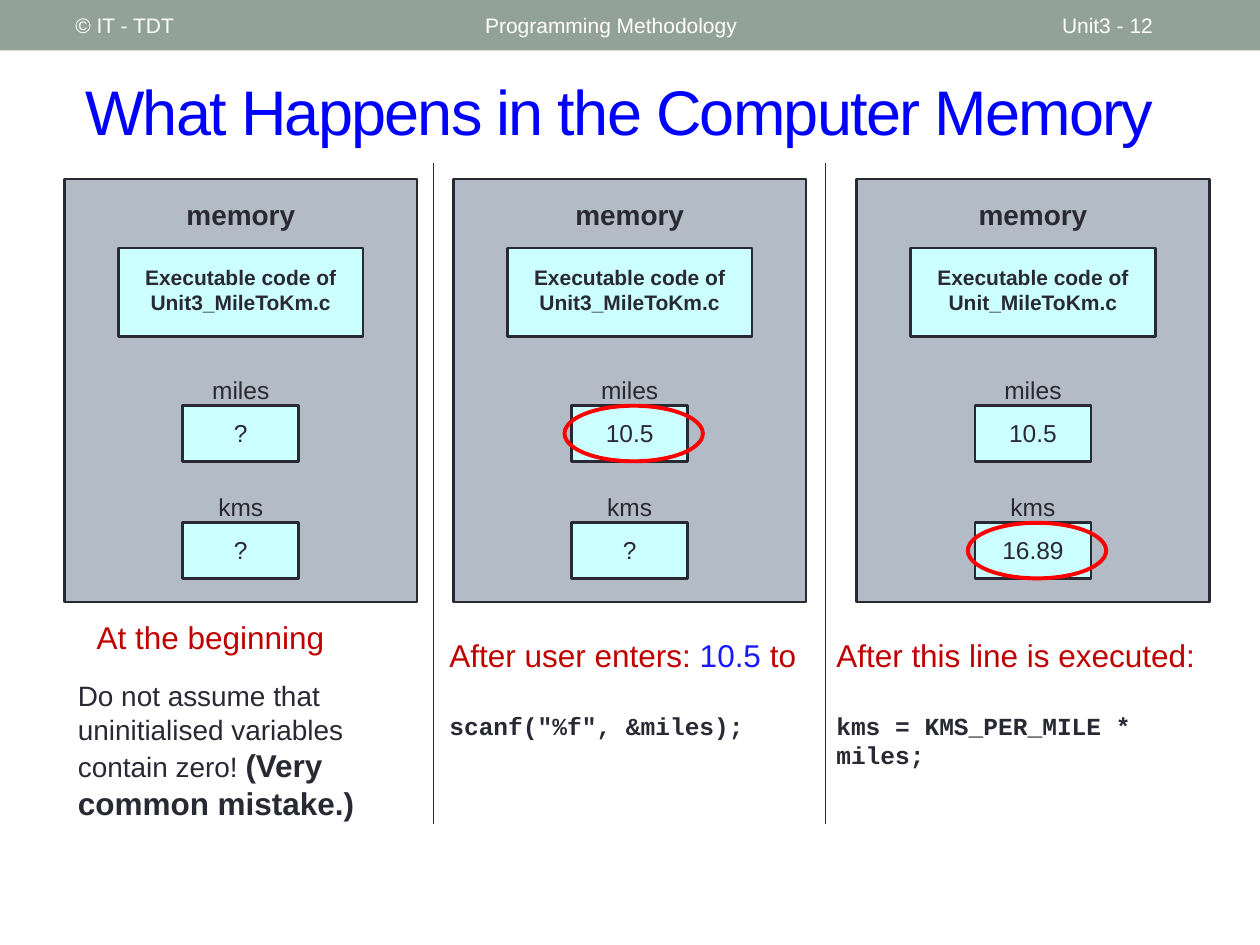
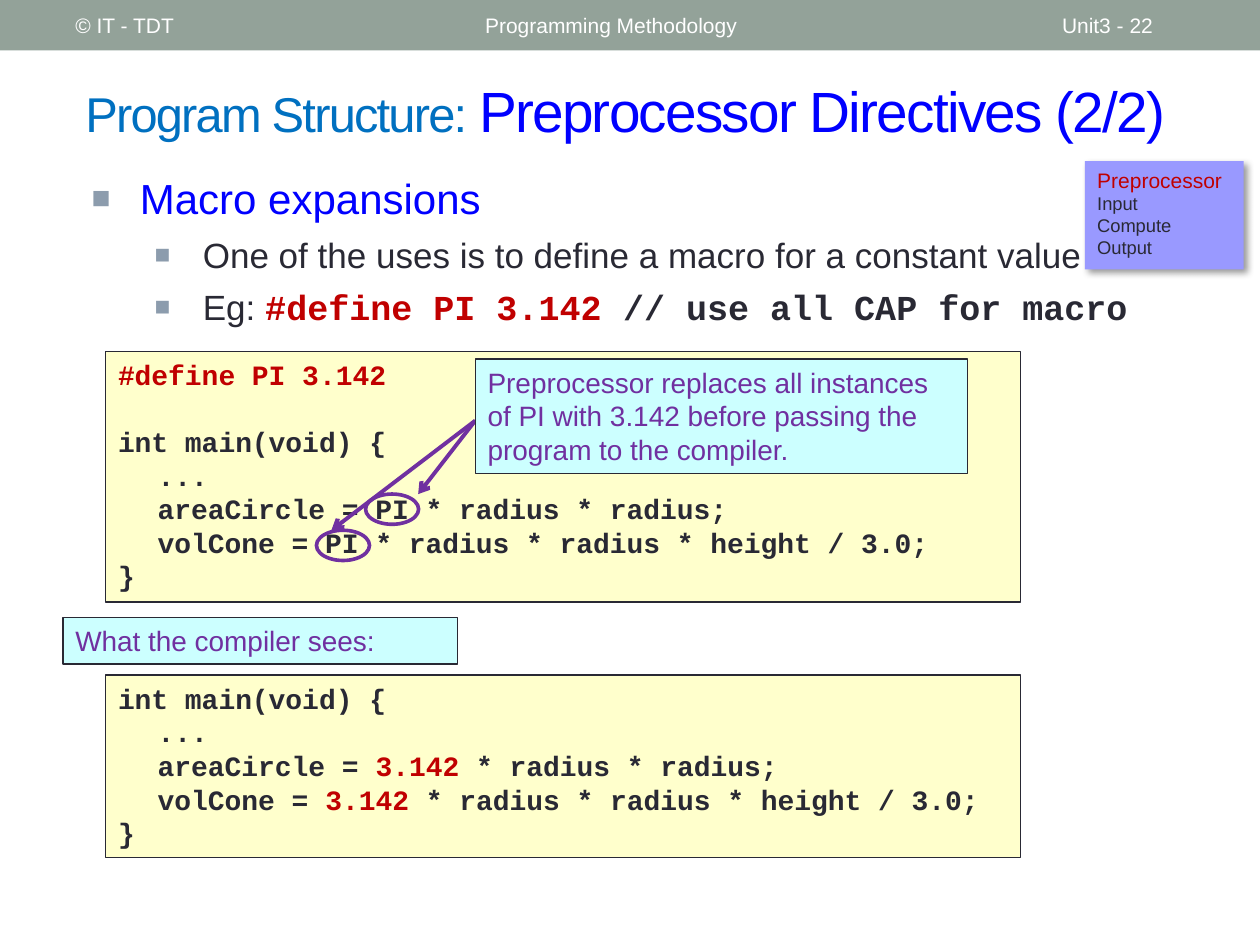
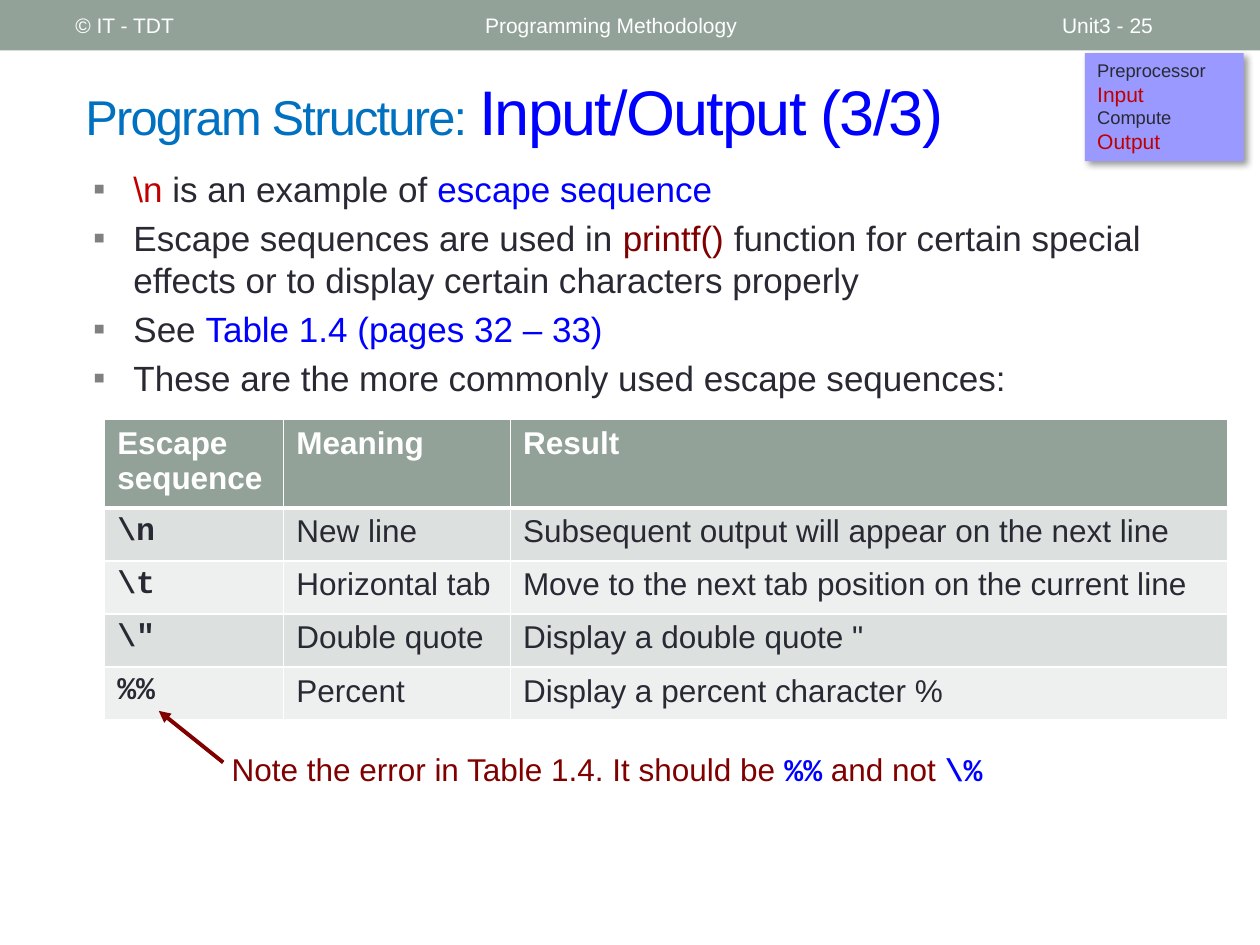
from lxml.etree import SubElement
from pptx import Presentation
from pptx.dml.color import RGBColor
from pptx.enum.shapes import MSO_CONNECTOR as Connector, MSO_SHAPE as Shape
from pptx.enum.text import MSO_ANCHOR as Anchor, PP_ALIGN as Align
from pptx.oxml.ns import qn
from pptx.util import Cm, Pt

INK, WHITE, SAGE = "292934", "FFFFFF", "93A299"
BLUE, SKY, RED, MAROON, PURPLE = "0000FF", "0070C0", "C00000", "800000", "7030A0"
SLATE, CYAN, CREAM, LILAC = "B3BBC6", "CCFFFF", "FFFFCC", "9999FF"
SANS, MONO = "Arial", "Courier New"
CODE = {"name": MONO, "bold": True}
RED_INK, BLUE_INK, MAROON_INK = ({"color": name} for name in (RED, BLUE, MAROON))


def para(*runs, **layout):
    """A paragraph: runs are strings or (string, format) pairs."""
    return runs, layout


# ---- content ----
COURSE, COPYRIGHT = "Programming Methodology", "© IT - TDT"
TOPIC = ("Program Structure: ", {"size": 27.9, "color": SKY})
STAGES = ["Preprocessor", "Input", "Compute", "Output"]

# panel left, program file, miles, kms, top of the circled value
MEMORY_STATES = [
    (1.3, "Unit3_MileToKm.c", "?", "?", None),
    (9.14, "Unit3_MileToKm.c", "10.5", "?", 8.18),
    (17.27, "Unit_MileToKm.c", "10.5", "16.89", 10.54),
]
CAPTIONS = [
    ((1.7, 12.34, 5.4, 1.02), [para(("At the beginning", RED_INK))]),
    ((1.32, 13.56, 6.5, 3.18), [para(
        ("Do not assume that uninitialised variables contain zero! ", {"size": 16}),
        ("(Very common mistake.)", {"bold": True}))]),
    ((8.81, 12.7, 7.98, 2.49), [
        para(("After user enters: ", RED_INK), ("10.5 ", {"color": "1818FF"}), ("to", RED_INK)),
        para(('scanf("%f", &miles);', {**CODE, "size": 14}), space_before=21)]),
    ((16.61, 12.7, 8.51, 2.39), [
        para(("After this line is executed:", RED_INK)),
        para(("kms = KMS_PER_MILE * miles;", {**CODE, "size": 14}), space_before=21)]),
]
DIVIDERS = [8.74, 16.64]

SQUARE = {"bullet": "■", "bullet_color": "8C9CAD", "bullet_size": 75, "hanging": 0.97}
SUB_ITEM = {**SQUARE, "indent": 2.24, "space_before": 6}
MACRO_POINTS = [
    para(("Macro expansions", {"size": 24, "color": BLUE}), indent=0.97, **SQUARE),
    para("One of the uses is to define a macro for a constant value", **SUB_ITEM),
    para("Eg: ", ("#define PI 3.142 ", {**CODE, **RED_INK}),
         ("// use all CAP for macro", CODE), **SUB_ITEM),
]


def main_function(constant, **first_line):
    return [
        para("int main(void) {", **first_line),
        para("...", indent=0.8),
        para("areaCircle = ", constant, " * radius * radius;", indent=0.8),
        para("volCone = ", constant, " * radius * radius * height / 3.0;", indent=0.8),
        para("}"),
    ]


SOURCE_CODE = [para(("#define PI 3.142", RED_INK)), *main_function("PI", space_before=19)]
EXPANDED_CODE = main_function(("3.142", RED_INK))
EXPLANATION = ("Preprocessor replaces all instances of PI with 3.142 "
               "before passing the program to the compiler.")
# circle left and top, arrow tip
PI_MARKS = [((7.37, 9.96), (8.43, 9.96)), ((6.38, 10.69), (6.68, 10.69))]

POINT = {"bullet": "▪", "bullet_color": "808080", "indent": 0.81, "hanging": 0.81}
NEXT_POINT = {**POINT, "space_before": 4}
ESCAPE_POINTS = [
    para((r"\n ", RED_INK), "is an example of ", ("escape sequence", BLUE_INK), **POINT),
    para("Escape sequences are used in ", ("printf() ", MAROON_INK),
         "function for certain special effects or to display certain characters properly",
         **NEXT_POINT),
    para("See ", ("Table 1.4 (pages 32 – 33)", BLUE_INK), **NEXT_POINT),
    para("These are the more commonly used escape sequences:", **NEXT_POINT),
]
ESCAPE_TABLE = [
    ("Escape sequence", "Meaning", "Result"),
    (r"\n", "New line", "Subsequent output will appear on the next line"),
    (r"\t", "Horizontal tab", "Move to the next tab position on the current line"),
    (r"\"", "Double quote", 'Display a double quote "'),
    ("%%", "Percent", "Display a percent character %"),
]
COLUMN_WIDTHS, ROW_HEIGHT = [3.61, 4.57, 14.45], 1.07
ERROR_NOTE = para("Note the error in Table 1.4. It should be ", ("%%", {**CODE, **BLUE_INK}),
                  " and not ", (r"\%", {**CODE, **BLUE_INK}))


# ---- drawing helpers ----
def color(value):
    return RGBColor.from_string(value)


def add_run(paragraph, text, values):
    run = paragraph.add_run()
    run.text = text
    for key, value in values.items():
        if key == "color":
            run.font.color.rgb = color(value)
        elif key == "tracking":
            run._r.get_or_add_rPr().set("spc", str(value))
        else:
            setattr(run.font, key, Pt(value) if key == "size" else value)


def format_paragraph(paragraph, indent=0, hanging=0, space_before=0, bullet=None,
                     bullet_color=INK, bullet_size=100):
    properties = paragraph._p.get_or_add_pPr()
    if indent:
        properties.set("marL", str(Cm(indent)))
        properties.set("indent", str(Cm(-hanging)))
    if bullet:
        tint = SubElement(properties, qn("a:buClr"))
        SubElement(tint, qn("a:srgbClr"), val=bullet_color)
        SubElement(properties, qn("a:buSzPct"), val=str(bullet_size * 1000))
        SubElement(properties, qn("a:buFont"), typeface=SANS)
        SubElement(properties, qn("a:buChar"), char=bullet)
    if space_before:
        paragraph.space_before = Pt(space_before)


def write(frame, paragraphs, align=Align.LEFT, anchor=Anchor.TOP, **values):
    """Fill a text frame; values are the format every run starts from."""
    base = {"name": SANS, "size": 18, "color": INK, **values}
    frame.word_wrap = True
    frame.vertical_anchor = anchor
    if isinstance(paragraphs, str):
        paragraphs = [para(paragraphs)]
    for index, (runs, layout) in enumerate(paragraphs):
        paragraph = frame.add_paragraph() if index else frame.paragraphs[0]
        format_paragraph(paragraph, **layout)
        paragraph.alignment = align
        for run in runs:
            text, own = (run, {}) if isinstance(run, str) else run
            add_run(paragraph, text, {**base, **own})


def add_text(slide, box, paragraphs, **values):
    text_box = slide.shapes.add_textbox(*map(Cm, box))
    write(text_box.text_frame, paragraphs, **values)


def add_box(slide, box, fill=None, line=None, width=0.75, kind=Shape.RECTANGLE):
    shape = slide.shapes.add_shape(kind, *map(Cm, box))
    shape.shadow.inherit = False
    if fill:
        shape.fill.solid()
        shape.fill.fore_color.rgb = color(fill)
    else:
        shape.fill.background()
    if line:
        shape.line.color.rgb = color(line)
        shape.line.width = Pt(width)
    else:
        shape.line.fill.background()
    return shape


def add_line(slide, start, end, tint, width, head=None):
    connector = slide.shapes.add_connector(Connector.STRAIGHT, *map(Cm, (*start, *end)))
    connector.line.color.rgb = color(tint)
    connector.line.width = Pt(width)
    if head:
        SubElement(connector.line._get_or_add_ln(), qn("a:tailEnd"), type=head)
    SubElement(connector._element.spPr, qn("a:effectLst"))


def add_stage_tag(slide, top, active):
    """The list of program stages, with the active ones in red."""
    tag = add_box(slide, (21.87, top, 3.2, 2.18), LILAC)
    effects = tag._element.spPr.find(qn("a:effectLst"))
    shadow = SubElement(effects, qn("a:outerShdw"), blurRad=str(Pt(4)), dist=str(Pt(3)),
                        dir=str(45 * 60000), algn="tl", rotWithShape="0")
    tint = SubElement(shadow, qn("a:srgbClr"), val="000000")
    SubElement(tint, qn("a:alpha"), val="40000")
    write(tag.text_frame, [
        para((stage, {"size": 12, "color": RED} if stage in active else {"size": 10.5}))
        for stage in STAGES])


def start_slide(presentation, number, *title, width=22.66):
    slide = presentation.slides.add_slide(presentation.slide_layouts[6])
    add_box(slide, (0, 0, 25.4, 1.02), SAGE)
    for left, room, text in [(1.27, 8.05, COPYRIGHT), (9.53, 11.43, COURSE),
                             (21.16, 2.97, f"Unit3 - {number}")]:
        add_text(slide, (left, 0.05, room, 0.91), text, size=12, color=WHITE,
                 anchor=Anchor.MIDDLE)
    add_text(slide, (1.47, 1.27, width, 1.9), [para(*title)], size=36, color=BLUE,
             tracking=-100, anchor=Anchor.MIDDLE)
    return slide


# ---- slides ----
def add_memory_panel(slide, left, program, miles, kms, circle_top):
    def centred(top, width, height):
        return left + (7.11 - width) / 2, top, width, height

    def label(top, text, width=2.82, size=14, **values):
        add_text(slide, centred(top, width, 0.86), text, size=size, align=Align.CENTER, **values)

    add_box(slide, (left, 3.61, 7.11, 8.53), SLATE, INK, 1.5)
    label(3.86, "memory", size=16, bold=True)
    add_box(slide, centred(5, 4.93, 1.78), CYAN, INK, 1.5)
    label(5.2, f"Executable code of {program}", width=4.45, size=12, bold=True)
    for top, name, value in [(8.18, "miles", miles), (10.54, "kms", kms)]:
        label(top - 0.74, name)
        add_box(slide, centred(top, 2.34, 1.12), CYAN, INK, 1.5)
        label(top + 0.13, value, width=1.96)
    if circle_top:
        add_box(slide, (left + 2.24, circle_top, 2.79, 1.12), None, "FF0000", 2.25, Shape.OVAL)


def build_memory_slide(presentation):
    slide = start_slide(presentation, 12, "What Happens in the Computer Memory")
    for state in MEMORY_STATES:
        add_memory_panel(slide, *state)
    for box, paragraphs in CAPTIONS:
        add_text(slide, box, paragraphs)
    for left in DIVIDERS:
        add_line(slide, (left, 3.28), (left, 16.61), INK, 1)


def build_macro_slide(presentation):
    slide = start_slide(presentation, 22, TOPIC,
                        ("Preprocessor Directives (2/2)", {"size": 32.4}), width=23.6)
    add_text(slide, (1.6, 3.35, 23.24, 13.23), MACRO_POINTS, size=20)
    for top, height, code in [(7.09, 5.05, SOURCE_CODE), (13.61, 3.68, EXPANDED_CODE)]:
        listing = add_box(slide, (2.13, top, 18.44, height), CREAM, INK)
        write(listing.text_frame, code, size=16, **CODE)
    for corner, tip in PI_MARKS:
        add_box(slide, (*corner, 1.07, 0.61), None, PURPLE, 2.08, Shape.OVAL)
        add_line(slide, (9.58, 8.48), tip, PURPLE, 2.25, "arrow")
    for box, text in [((9.58, 7.24, 9.93, 2.31), EXPLANATION),
                      ((1.27, 12.45, 7.95, 0.94), "What the compiler sees:")]:
        callout = add_box(slide, box, CYAN, INK)
        write(callout.text_frame, text, size=16, color=PURPLE)
    add_stage_tag(slide, 3.25, ["Preprocessor"])


def add_cell_borders(cell, bottom):
    properties = cell._tc.get_or_add_tcPr()
    for index, (side, width) in enumerate([("L", 1), ("R", 1), ("T", 1), ("B", bottom)]):
        border = properties.makeelement(qn(f"a:ln{side}"), {"w": str(Pt(width))})
        fill = SubElement(border, qn("a:solidFill"))
        SubElement(fill, qn("a:srgbClr"), val=WHITE)
        properties.insert(index, border)


def add_escape_table(slide):
    size = (sum(COLUMN_WIDTHS), ROW_HEIGHT * len(ESCAPE_TABLE))
    table = slide.shapes.add_table(len(ESCAPE_TABLE), len(COLUMN_WIDTHS),
                                   *map(Cm, (2.11, 8.46, *size))).table
    for column, width in zip(table.columns, COLUMN_WIDTHS):
        column.width = Cm(width)
    for row, texts in enumerate(ESCAPE_TABLE):
        table.rows[row].height = Cm(ROW_HEIGHT)
        for column, text in enumerate(texts):
            cell = table.cell(row, column)
            if row == 0:
                fill, values = SAGE, {"color": WHITE, "bold": True}
            else:
                fill = "DCE0DE" if row % 2 else "EEF0EF"
                values = {"bold": False} if column else CODE
            cell.fill.solid()
            cell.fill.fore_color.rgb = color(fill)
            write(cell.text_frame, text, **values)
            add_cell_borders(cell, 1 if row else 3)


def build_escape_slide(presentation):
    slide = start_slide(presentation, 25, TOPIC, "Input/Output (3/3)")
    add_text(slide, (1.63, 3.25, 22.86, 5.23), ESCAPE_POINTS, size=20)
    add_escape_table(slide)
    add_line(slide, (4.5, 15.37), (3.2, 14.33), MAROON, 2.25, "triangle")
    add_text(slide, (4.42, 14.99, 17.86, 1.02), [ERROR_NOTE], color=MAROON)
    add_stage_tag(slide, 1.07, ["Input", "Output"])


def main():
    presentation = Presentation()
    presentation.slide_width, presentation.slide_height = Cm(25.4), Cm(19.05)
    for build in (build_memory_slide, build_macro_slide, build_escape_slide):
        build(presentation)
    presentation.save("out.pptx")


if __name__ == "__main__":
    main()
